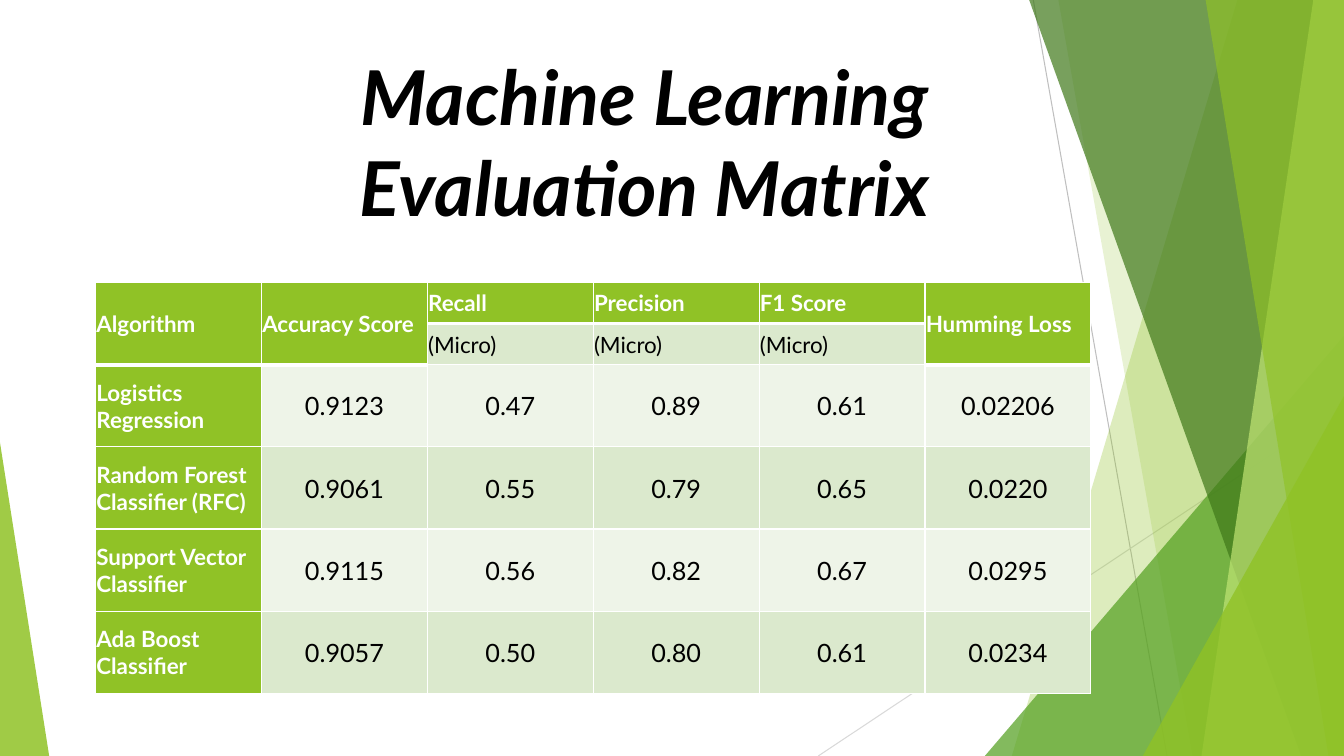
"""Builds the slide with the machine learning evaluation table."""
from lxml.etree import SubElement
from pptx import Presentation
from pptx.dml.color import RGBColor
from pptx.enum.shapes import MSO_CONNECTOR as CONNECTOR, MSO_SHAPE as SHAPE
from pptx.enum.text import MSO_ANCHOR as ANCHOR, MSO_AUTO_SIZE as AUTO_SIZE, PP_ALIGN as ALIGN
from pptx.oxml.ns import qn
from pptx.util import Cm, Pt

WHITE = RGBColor(0xFF, 0xFF, 0xFF)
BLACK = RGBColor(0, 0, 0)
LIME = RGBColor(0x90, 0xC2, 0x26)
PALE_LIME = RGBColor(0xC0, 0xE4, 0x74)
GREEN = RGBColor(0x54, 0xA0, 0x21)
DARK_GREEN = RGBColor(0x3F, 0x78, 0x19)
BAND_LIGHT = RGBColor(0xEE, 0xF4, 0xE8)
BAND_DARK = RGBColor(0xDB, 0xE9, 0xCD)
GREY = RGBColor(0xBF, 0xBF, 0xBF)
LIGHT_GREY = RGBColor(0xD9, 0xD9, 0xD9)
WIDTH, HEIGHT = 33.87, 19.05


def write(frame, text, size=16, color=BLACK, bold=False, italic=False, align=ALIGN.LEFT):
    paragraph = frame.paragraphs[0]
    paragraph.alignment = align
    run = paragraph.add_run()
    run.text = text
    font = run.font
    font.name, font.size, font.bold, font.italic = "Lato", Pt(size), bold, italic
    font.color.rgb = color


def paint(facet, color, opacity):
    facet.shadow.inherit = False
    facet.line.fill.background()
    facet.fill.solid()
    facet.fill.fore_color.rgb = color
    tint = facet.element.spPr.find(qn("a:solidFill")).find(qn("a:srgbClr"))
    SubElement(tint, qn("a:alpha")).set("val", str(opacity * 1000))


prs = Presentation()
prs.slide_width, prs.slide_height = Cm(WIDTH), Cm(HEIGHT)
slide = prs.slides.add_slide(prs.slide_layouts[6])
shapes = slide.shapes

for x1, y1, x2, y2, color in [
    (26.04, 0, 29.41, HEIGHT, GREY),
    (WIDTH, 10.24, 20.62, HEIGHT, LIGHT_GREY),
]:
    ray = shapes.add_connector(CONNECTOR.STRAIGHT, Cm(x1), Cm(y1), Cm(x2), Cm(y2))
    ray.line.color.rgb = color
    ray.line.width = Pt(0.75)
    SubElement(ray.element.spPr, qn("a:effectLst"))

for kind, *facet_data in [
    ("band", 31.19, 25.5, LIME, 30),
    ("band", 26.67, 30.05, LIME, 20),
    ("corner", 24.82, 8.46, 9.05, 1, GREEN, 72),
    ("band", 25.93, 32.79, DARK_GREEN, 70),
    ("band", 33.1, 30.28, PALE_LIME, 70),
    ("band", 30.38, 33.48, LIME, 65),
    ("corner", 28.8, 9.98, 5.07, 1, LIME, 80),
    ("corner", 0, 11.15, 1.24, 0, LIME, 85),
]:
    *place, color, opacity = facet_data
    if kind == "band":
        top_x, bottom_x = place
        outline = shapes.build_freeform(Cm(top_x), Cm(-0.02))
        corners = [(WIDTH, -0.02), (WIDTH, HEIGHT), (bottom_x, HEIGHT)]
        outline.add_line_segments([(Cm(x), Cm(y)) for x, y in corners])
        facet = outline.convert_to_shape()
    else:
        left, top, width, apex = place
        facet = shapes.add_shape(
            SHAPE.ISOSCELES_TRIANGLE, Cm(left), Cm(top), Cm(width), Cm(HEIGHT - top))
        facet.adjustments[0] = apex
    paint(facet, color, opacity)

title = shapes.add_textbox(Cm(5.59), Cm(1.14), Cm(21.31), Cm(4.88)).text_frame
title.word_wrap = True
title.auto_size = AUTO_SIZE.SHAPE_TO_FIT_TEXT
write(title, "Machine Learning Evaluation Matrix", size=54, bold=True, italic=True,
      align=ALIGN.CENTER)

scores = [
    ["Algorithm", "Accuracy Score", "Recall", "Precision", "F1 Score", "Humming Loss"],
    ["", "", "(Micro)", "(Micro)", "(Micro)", ""],
    ["Logistics Regression", "0.9123", "0.47", "0.89", "0.61", "0.02206"],
    ["Random Forest Classifier (RFC)", "0.9061", "0.55", "0.79", "0.65", "0.0220"],
    ["Support Vector Classifier", "0.9115", "0.56", "0.82", "0.67", "0.0295"],
    ["Ada Boost Classifier", "0.9057", "0.50", "0.80", "0.61", "0.0234"],
]
row_heights = [1.04, 1.04, 2.07, 2.07, 2.07, 2.07]
tall_headers = [0, 1, 5]
thick_below = {(0, c) for c in range(6)} | {(1, c) for c in tall_headers}

table = shapes.add_table(
    6, 6, Cm(2.41), Cm(7.11), Cm(25.08), Cm(sum(row_heights))).table
for column in table.columns:
    column.width = Cm(4.18)
for row, height in zip(table.rows, row_heights):
    row.height = Cm(height)
for c in tall_headers:
    table.cell(0, c).merge(table.cell(1, c))

for r, record in enumerate(scores):
    for c, text in enumerate(record):
        cell = table.cell(r, c)
        cell.vertical_anchor = ANCHOR.MIDDLE
        cell.margin_left = cell.margin_right = cell.margin_top = Cm(0.02)
        cell.margin_bottom = 0
        top_width = 3 if (r - 1, c) in thick_below else 1
        bottom_width = 3 if (r, c) in thick_below else 1
        for side, points in [("L", 1), ("R", 1), ("T", top_width), ("B", bottom_width)]:
            border = SubElement(cell._tc.get_or_add_tcPr(), qn(f"a:ln{side}"), w=str(Pt(points)))
            SubElement(SubElement(border, qn("a:solidFill")), qn("a:srgbClr"), val=str(WHITE))
        is_header = r == 0 or c == 0 or (r == 1 and c in tall_headers)
        cell.fill.solid()
        cell.fill.fore_color.rgb = LIME if is_header else BAND_DARK if r % 2 else BAND_LIGHT
        if not text:
            continue
        if r < 2:
            align = ALIGN.JUSTIFY
        else:
            align = ALIGN.CENTER if c else ALIGN.LEFT
        write(cell.text_frame, text, size=18 if r > 1 and c else 16, bold=is_header,
              color=WHITE if is_header else BLACK, align=align)

prs.save("out.pptx")
